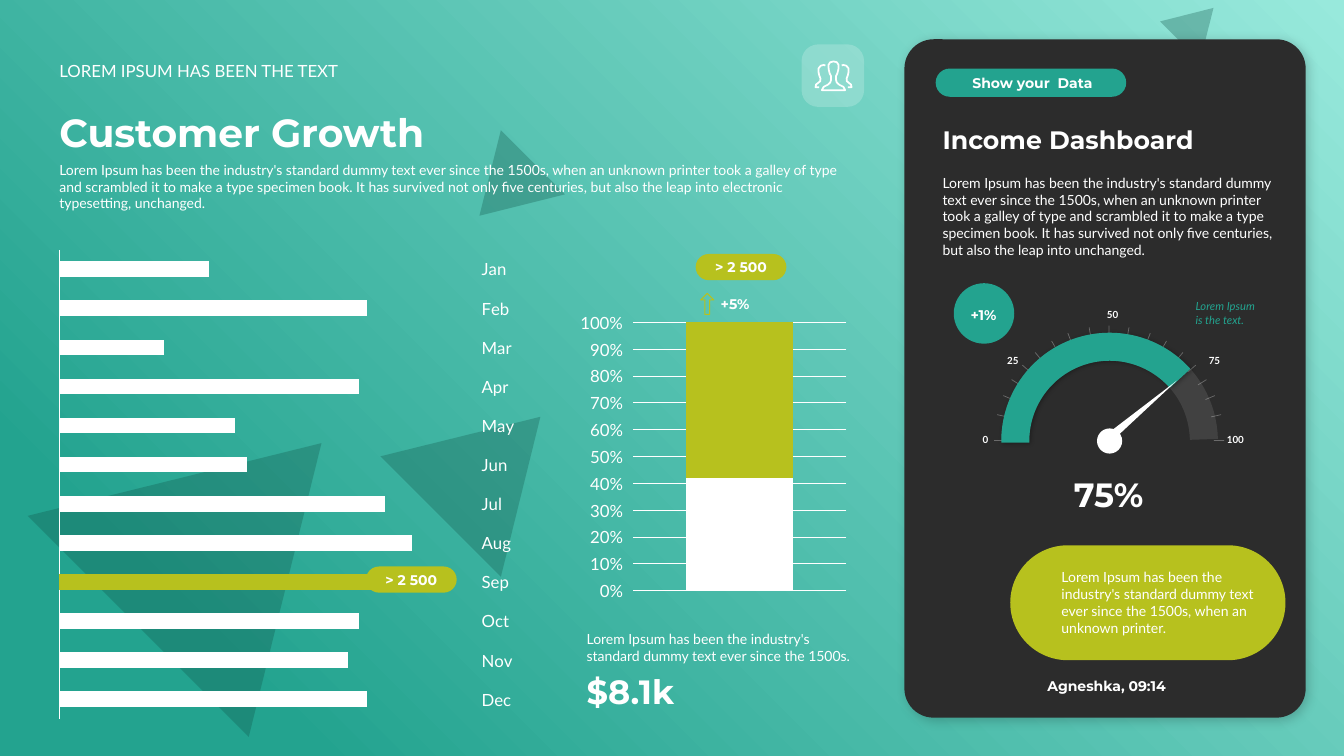
from dataclasses import dataclass
from math import cos, radians, sin

from lxml.etree import SubElement
from pptx import Presentation
from pptx.chart.data import CategoryChartData
from pptx.dml.color import RGBColor
from pptx.enum.chart import XL_CHART_TYPE, XL_TICK_LABEL_POSITION, XL_TICK_MARK
from pptx.enum.shapes import MSO_CONNECTOR, MSO_SHAPE
from pptx.enum.text import MSO_ANCHOR, MSO_AUTO_SIZE, PP_ALIGN
from pptx.oxml import parse_xml
from pptx.oxml.ns import nsdecls, qn
from pptx.util import Pt

PX = 9144  # 100 px to the inch


@dataclass(frozen=True)
class Theme:
    white: str = "FFFFFF"
    teal: str = "23A38F"
    mint: str = "98E9DC"
    deep: str = "115248"
    lime: str = "B7C11E"
    dark: str = "2C2C2C"
    black: str = "000000"
    head: str = "Montserrat"
    body: str = "Lato"
    title: int = 28
    figure: int = 24
    subtitle: int = 18
    label: int = 12
    text: int = 10
    note: int = 8
    scale: int = 7


T = Theme()
HEAD = dict(font=T.head, bold=True)
CENTER = dict(align=PP_ALIGN.CENTER, anchor=MSO_ANCHOR.MIDDLE)
RIGHT = dict(align=PP_ALIGN.RIGHT, wrap=False)
LOREM = "Lorem Ipsum has been the industry's standard dummy text ever since the 1500s"
GALLEY = (LOREM + ", when an unknown printer took a galley of type and scrambled it to make a type "
          "specimen book. It has survived not only five centuries, but also the leap into ")


def put(obj, **values):
    for name, value in values.items():
        setattr(obj, name, value)


def style_font(font, size, color=T.white, name=T.body, bold=False, italic=False):
    put(font, size=Pt(size), name=name, bold=bold, italic=italic)
    font.color.rgb = RGBColor.from_string(color)


def paint(fill, color, alpha=None):
    fill.solid()
    fill.fore_color.rgb = RGBColor.from_string(color)
    if alpha:
        clr = fill._xPr.find(".//" + qn("a:srgbClr"))
        SubElement(clr, qn("a:alpha")).set("val", str(alpha * 1000))


def stroke(line, color, width, alpha=None):
    paint(line.fill, color, alpha)
    line.width = Pt(width)


def cast_shadow(sp, alpha, blur, dist):
    old = sp._element.spPr.find(qn("a:effectLst"))
    old.getparent().replace(old, parse_xml(
        f'<a:effectLst {nsdecls("a")}><a:outerShdw blurRad="{Pt(blur)}" dist="{Pt(dist)}" '
        f'dir="2700000" algn="tl" rotWithShape="0"><a:srgbClr val="{T.black}">'
        f'<a:alpha val="{alpha * 1000}"/></a:srgbClr></a:outerShdw></a:effectLst>'))


class Region:
    """A part of the slide; everything in it is placed from its top left corner."""

    def __init__(self, s, x, y):
        self.shapes, self.x, self.y = s.shapes, x, y

    def emu(self, x, y, *size):
        return [round(v * PX) for v in (self.x + x, self.y + y, *size)]

    def shape(self, kind, box, fill=None, alpha=None, adj=(), rot=0):
        sp = self.shapes.add_shape(kind, *self.emu(*box))
        put(sp, rotation=rot)
        put(sp.shadow, inherit=False)
        for i, value in enumerate(adj):
            sp.adjustments[i] = value
        sp.line.fill.background()
        if fill:
            paint(sp.fill, fill, alpha)
        else:
            sp.fill.background()
        return sp

    def label(self, sp, text, size, color=T.white, font=T.body, bold=False, italic=False,
              align=PP_ALIGN.LEFT, anchor=MSO_ANCHOR.TOP, wrap=True, **frame):
        tf = sp.text_frame
        put(tf, word_wrap=wrap, vertical_anchor=anchor, **frame)
        p = tf.paragraphs[0]
        put(p, alignment=align)
        r = p.add_run()
        r.text = text
        style_font(r.font, size, color, font, bold, italic)

    def text(self, box, text, size, **style):
        self.label(self.shapes.add_textbox(*self.emu(*box)), text, size,
                   auto_size=MSO_AUTO_SIZE.SHAPE_TO_FIT_TEXT, **style)

    def pill(self, x, y, text):
        sp = self.shape(MSO_SHAPE.ROUNDED_RECTANGLE, (x, y, 90, 26), T.lime, adj=[0.5])
        self.label(sp, text, T.text, **HEAD, **CENTER,
                   margin_left=0, margin_right=0, margin_top=0, margin_bottom=0)

    def chart(self, kind, box, cats, series, plot_area, gap, overlap):
        data = CategoryChartData()
        data.categories = cats
        for name, values in series:
            data.add_series(name, values)
        chart = self.shapes.add_chart(kind, *self.emu(*box), data).chart
        put(chart, has_legend=False, has_title=False)
        style_font(chart.font, T.label)
        put(chart.plots[0], gap_width=gap, overlap=overlap, vary_by_categories=False)
        area = chart._chartSpace.chart.plotArea
        for old in area.findall(qn("c:layout")):
            area.remove(old)
        parts = zip("xywh", plot_area)
        area.insert(0, parse_xml(
            f'<c:layout {nsdecls("c")}><c:manualLayout><c:layoutTarget val="inner"/>'
            '<c:xMode val="edge"/><c:yMode val="edge"/>'
            + "".join(f'<c:{k} val="{v}"/>' for k, v in parts)
            + "</c:manualLayout></c:layout>"))
        return chart


def background(s):
    area = Region(s, 0, 0)
    sp = area.shape(MSO_SHAPE.RECTANGLE, (0, 0, 1333, 750), T.teal)
    old = sp._element.spPr.find(qn("a:solidFill"))
    old.getparent().replace(old, parse_xml(
        f'<a:gradFill {nsdecls("a")}><a:gsLst><a:gs pos="0"><a:srgbClr val="{T.mint}"/></a:gs>'
        f'<a:gs pos="85000"><a:srgbClr val="{T.teal}"/></a:gs></a:gsLst>'
        '<a:path path="circle"><a:fillToRect l="100000" b="100000"/></a:path></a:gradFill>'))
    for *box, rot in ((73, 402, 310, 257, 45), (402, 393, 169, 140, 45),
                      (457, 150, 90, 75, 225), (1159, 1, 56, 47, 45)):
        area.shape(MSO_SHAPE.ISOSCELES_TRIANGLE, box, T.deep, 30, rot=rot)


def people_icon(s, x, y):
    area = Region(s, x, y)
    area.shape(MSO_SHAPE.ROUNDED_RECTANGLE, (0, 0, 62, 62), T.white, 20, [0.265])
    # Outlines in tenths of a px, mirrored about the middle of the icon
    half = [(187, 10), (220, 18), (237, 45), (235, 90), (225, 130), (212, 155),
            (212, 195), (220, 220), (245, 242), (285, 262), (303, 295)]
    left = [(45, 265), (8, 265), (14, 238), (38, 220), (56, 205), (57, 178), (45, 148),
            (38, 115), (38, 78), (60, 52), (90, 44), (106, 50)]

    def mirror(points):
        return [(374 - px, py) for px, py in points]

    for points, close in ((half + mirror(half)[::-1], True), (left, False), (mirror(left), False)):
        fb = area.shapes.build_freeform(*points[0], scale=PX / 10)
        fb.add_line_segments(points[1:], close=close)
        sp = fb.convert_to_shape(*area.emu(13, 16))
        put(sp.shadow, inherit=False)
        sp.fill.background()
        stroke(sp.line, T.white, 1.25)


def header(s, x, y):
    area = Region(s, x, y)
    area.text((0, 100, 808, 61), GALLEY + "electronic typesetting, unchanged.", T.text)
    area.text((0, 47, 808, 57), "Customer Growth", T.title, anchor=MSO_ANCHOR.BOTTOM, **HEAD)
    area.text((0, 0, 808, 30), "LOREM IPSUM HAS BEEN THE TEXT", T.label, anchor=MSO_ANCHOR.BOTTOM)
    people_icon(s, x + 746, y - 11)


def month_bars(s, x, y):
    area = Region(s, x, y)
    months = "Jan Feb Mar Apr May Jun Jul Aug Sep Oct Nov Dec".split()
    values = (40, 82, 28, 80, 47, 50, 87, 94, 100, 80, 77, 82)
    chart = area.chart(XL_CHART_TYPE.BAR_CLUSTERED, (0, 0, 476, 485), months,
                       [("Series 1", values)], (0.02, 0.02, 0.86, 0.96), 150, -25)
    ser = chart.plots[0].series[0]
    paint(ser.format.fill, T.white)
    paint(ser.points[months.index("Sep")].format.fill, T.lime)
    put(chart.category_axis, reverse_order=True, major_tick_mark=XL_TICK_MARK.NONE,
        tick_label_position=XL_TICK_LABEL_POSITION.HIGH)
    stroke(chart.category_axis.format.line, T.white, 0.75)
    put(chart.value_axis, visible=False, has_major_gridlines=False,
        minimum_scale=0, maximum_scale=110)
    area.pill(314, 324, "> 2 500")


def share_column(s, x, y):
    area = Region(s, x, y)
    area.pill(120, 0, "> 2 500")
    area.text((138, 36, 42, 27), "+5%", T.text, align=PP_ALIGN.CENTER,
              margin_left=0, margin_right=0, **HEAD)
    arrow = area.shape(MSO_SHAPE.UP_ARROW, (125, 39, 13, 21), adj=[0.36, 0.5])
    stroke(arrow.line, T.lime, 0.75)
    chart = area.chart(XL_CHART_TYPE.COLUMN_STACKED_100, (0, 53, 275, 299), ["1"],
                       [("Series 1", [42]), ("Series 2", [58])], (0.21, 0.05, 0.77, 0.89), 100, 100)
    for ser, color in zip(chart.plots[0].series, (T.white, T.lime)):
        paint(ser.format.fill, color)
    put(chart.category_axis, visible=False)
    axis = chart.value_axis
    put(axis, major_tick_mark=XL_TICK_MARK.OUTSIDE, major_unit=0.1, maximum_scale=1)
    put(axis.tick_labels, number_format="0%", number_format_is_linked=False)
    axis.format.line.fill.background()
    stroke(axis.major_gridlines.format.line, T.white, 0.75)
    area.text((2, 368, 291, 44), LOREM + ".", T.text, anchor=MSO_ANCHOR.BOTTOM)
    area.text((2, 409, 291, 50), "$8.1k", T.figure, anchor=MSO_ANCHOR.BOTTOM, **HEAD)


def gauge(s, x, y):
    """Half dial around the point x, y."""
    area = Region(s, x, y)

    def arc(start, end, color, alpha=None):
        sp = area.shape(MSO_SHAPE.ARC, (-93, -93, 187, 187), adj=[start * 0.6, end * 0.6])
        stroke(sp.line, color, 20, alpha)
        return sp

    arc(180, 359, T.white, 10)
    area.shape(MSO_SHAPE.OVAL, (-12, -12, 25, 25), T.white)
    # Ticks, mirrored about the top
    rise = (0, 13, 23, 32, 41, 50, 60, 69, 80)
    for angle in (*rise, 90, *(180 - a for a in rise)):
        dx, dy = cos(radians(angle)), -sin(radians(angle))
        cn = area.shapes.add_connector(
            MSO_CONNECTOR.STRAIGHT, *area.emu(114 * dx, 114 * dy), *area.emu(104 * dx, 104 * dy))
        stroke(cn.line, T.white, 0.5, 30)
        SubElement(cn._element.spPr, qn("a:effectLst"))
    # Scale
    middle, bottom = dict(anchor=MSO_ANCHOR.MIDDLE), dict(anchor=MSO_ANCHOR.BOTTOM)
    for label, box, style in (("0", (-144, -15, 34, 28), middle | RIGHT),
                              ("25", (-121, -93, 41, 28), middle | RIGHT),
                              ("50", (-22, -142, 41, 28), bottom | RIGHT),
                              ("75", (89, -93, 41, 28), middle | dict(wrap=False)),
                              ("100", (107, -15, 59, 28), middle)):
        area.text(box, label, T.scale, bold=True, **style)
    cast_shadow(arc(179, 318.4, T.teal), 30, 3, 1)
    area.shape(MSO_SHAPE.ISOSCELES_TRIANGLE, (32, -74, 8, 82), T.white, rot=49.8)


def income_card(s, x, y):
    area = Region(s, x, y)
    card = area.shape(MSO_SHAPE.ROUNDED_RECTANGLE, (0, 0, 398, 673), T.dark, adj=[0.073])
    cast_shadow(card, 20, 8, 3)
    area.text((28, 129, 350, 94), GALLEY + "unchanged.", T.text)
    area.text((28, 79, 350, 40), "Income Dashboard", T.subtitle, anchor=MSO_ANCHOR.BOTTOM, **HEAD)
    area.shape(MSO_SHAPE.ROUNDED_RECTANGLE, (31, 29, 189, 28), T.teal, adj=[0.5])
    area.text((40, 30, 174, 27), "Show your  Data", T.text, **HEAD, **CENTER)
    gauge(s, x + 203, y + 398)
    # Readings around the dial
    area.shape(MSO_SHAPE.OVAL, (49, 242, 60, 60), T.teal)
    area.text((54, 260, 49, 27), "+1%", T.text, margin_left=0, margin_right=0, **HEAD, **CENTER)
    area.text((279, 253, 87, 37), "Lorem Ipsum is the text.", T.note, color=T.teal,
              italic=True, anchor=MSO_ANCHOR.MIDDLE)
    area.text((83, 426, 239, 50), "75%", T.figure, align=PP_ALIGN.CENTER,
              anchor=MSO_ANCHOR.BOTTOM, **HEAD)
    # Message
    area.shape(MSO_SHAPE.ROUNDED_RECTANGLE, (105, 502, 273, 114), T.lime, adj=[0.5])
    area.text((146, 520, 213, 77), LOREM + ", when an unknown printer.", T.text,
              anchor=MSO_ANCHOR.MIDDLE)
    area.text((132, 628, 228, 27), "Agneshka, 09:14", T.text, anchor=MSO_ANCHOR.BOTTOM, **HEAD)


def main():
    prs = Presentation()
    put(prs, slide_width=1333 * PX, slide_height=750 * PX)
    s = prs.slides.add_slide(prs.slide_layouts[6])
    background(s)
    income_card(s, 897, 39)
    header(s, 49, 55)
    month_bars(s, 49, 238)
    share_column(s, 570, 252)
    prs.save("out.pptx")


if __name__ == "__main__":
    main()
